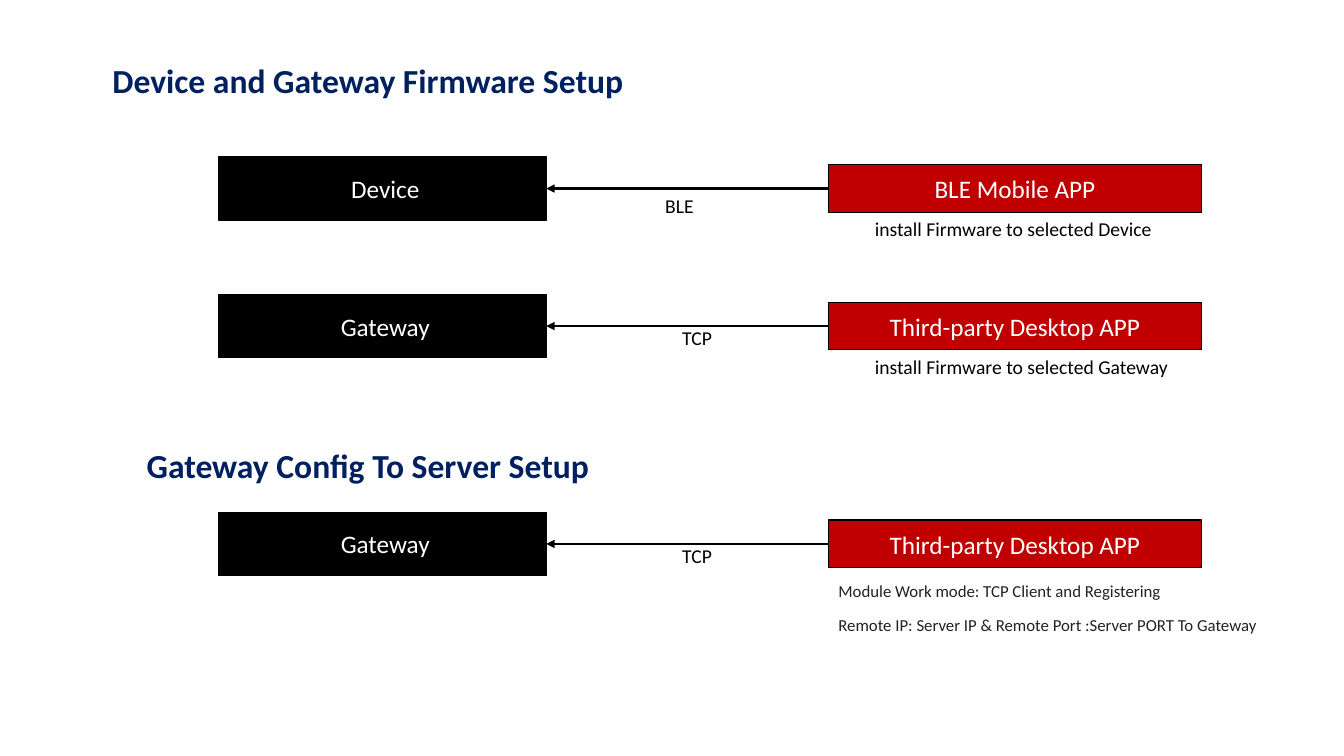
import pptx
import pptx.util
import pptx.dml.color
import pptx.enum.shapes
import pptx.enum.text
import pptx.oxml.ns
import lxml.etree

Pt = pptx.util.Pt
ALIGN = pptx.enum.text.PP_ALIGN
ANCHOR = pptx.enum.text.MSO_ANCHOR

COLORS = {
    "heading": "002060",
    "target": "000000",
    "app": "C00000",
    "line": "000000",
    "label": "000000",
    "detail": "222222",
    "box_text": "FFFFFF",
}

# text, (left, top, width, height)
HEADINGS = [
    ("Device and Gateway Firmware Setup", (21.6, 28.1, 482.4, 58.3)),
    ("Gateway Config To Server Setup", (84.2, 303.1, 357.1, 58.3)),
]

# One link per row; label_at is (left, offset below the row's centre line)
LINKS = [
    {"middle": 134.7, "target": " Device", "app": "BLE Mobile APP",
     "label": "BLE", "label_at": (468, 0)},
    {"middle": 232.9, "target": " Gateway", "app": "Third-party Desktop APP",
     "label": "TCP", "label_at": (480.2, -3.8)},
    {"middle": 388.5, "target": " Gateway", "app": "Third-party Desktop APP",
     "label": "TCP", "label_at": (480.2, -3.8)},
]

# lines, (left, top, width, height), format
NOTES = [
    (["install Firmware to selected Device"], (617.8, 151.2, 239.8, 24.5),
     {"size": 14, "color": "label"}),
    (["install Firmware to selected Gateway"], (617.8, 249.8, 234, 41),
     {"size": 14, "color": "label"}),
    (["Module Work mode: TCP Client and Registering",
      "Remote IP: Server IP & Remote Port :Server PORT To Gateway"],
     (591.8, 411.1, 368.2, 71.3),
     {"size": 12, "color": "detail", "space_before": 10}),
]

TARGET_LEFT, TARGET_WIDTH, TARGET_HEIGHT = 156.2, 234, 45
APP_LEFT, APP_WIDTH, APP_HEIGHT = 591.8, 266.4, 34
LABEL_WIDTH, LABEL_HEIGHT = 72.7, 24.5
LEFT_SIDE, RIGHT_SIDE = 1, 3


def rgb(name):
    return pptx.dml.color.RGBColor.from_string(COLORS[name])


def write_text(shape, lines, size=14, color="label", bold=False,
               align=ALIGN.LEFT, anchor=ANCHOR.TOP, space_before=0):
    """Fill a shape with one paragraph per line; space goes between lines."""
    frame = shape.text_frame
    frame.word_wrap = True
    frame.vertical_anchor = anchor
    for index, line in enumerate(lines):
        para = frame.add_paragraph() if index else frame.paragraphs[0]
        para.alignment = align
        if index:
            para.space_before = Pt(space_before)
        span = para.add_run()
        span.text = line
        span.font.name = "Calibri"
        span.font.size = Pt(size)
        span.font.bold = bold
        span.font.color.rgb = rgb(color)


def add_text(page, lines, place, **text_format):
    box = page.shapes.add_textbox(*map(Pt, place))
    write_text(box, lines, **text_format)


def add_box(page, text, left, middle, width, height, fill):
    """Add a labelled rectangle centred vertically on middle."""
    box = page.shapes.add_shape(
        pptx.enum.shapes.MSO_SHAPE.RECTANGLE,
        Pt(left), Pt(middle - height / 2), Pt(width), Pt(height))
    box.shadow.inherit = False
    box.fill.solid()
    box.fill.fore_color.rgb = rgb(fill)
    box.line.color.rgb = rgb("line")
    box.line.width = Pt(1)
    write_text(box, [text], size=18, color="box_text",
               align=ALIGN.CENTER, anchor=ANCHOR.MIDDLE)
    return box


def add_arrow(page, app, target):
    arrow = page.shapes.add_connector(
        pptx.enum.shapes.MSO_CONNECTOR.STRAIGHT, 0, 0, 0, 0)
    arrow.begin_connect(app, LEFT_SIDE)
    arrow.end_connect(target, RIGHT_SIDE)
    arrow.line.color.rgb = rgb("line")
    arrow.line.width = Pt(1.5)
    qualified = pptx.oxml.ns.qn
    properties = arrow.line._get_or_add_ln()
    lxml.etree.SubElement(properties, qualified("a:tailEnd"), type="triangle")
    lxml.etree.SubElement(properties.getparent(), qualified("a:effectLst"))


def add_link(page, link):
    middle = link["middle"]
    target = add_box(page, link["target"], TARGET_LEFT, middle,
                     TARGET_WIDTH, TARGET_HEIGHT, "target")
    app = add_box(page, link["app"], APP_LEFT, middle,
                  APP_WIDTH, APP_HEIGHT, "app")
    add_arrow(page, app, target)
    left, offset = link["label_at"]
    add_text(page, [link["label"]],
             (left, middle + offset, LABEL_WIDTH, LABEL_HEIGHT))


def main():
    deck = pptx.Presentation()
    deck.slide_width, deck.slide_height = Pt(960), Pt(540)
    page = deck.slides.add_slide(deck.slide_layouts[6])
    for text, place in HEADINGS:
        add_text(page, [text], place, size=24, color="heading", bold=True,
                 align=ALIGN.CENTER, anchor=ANCHOR.MIDDLE)
    for link in LINKS:
        add_link(page, link)
    for lines, place, text_format in NOTES:
        add_text(page, lines, place, **text_format)
    deck.save("out.pptx")


if __name__ == "__main__":
    main()
